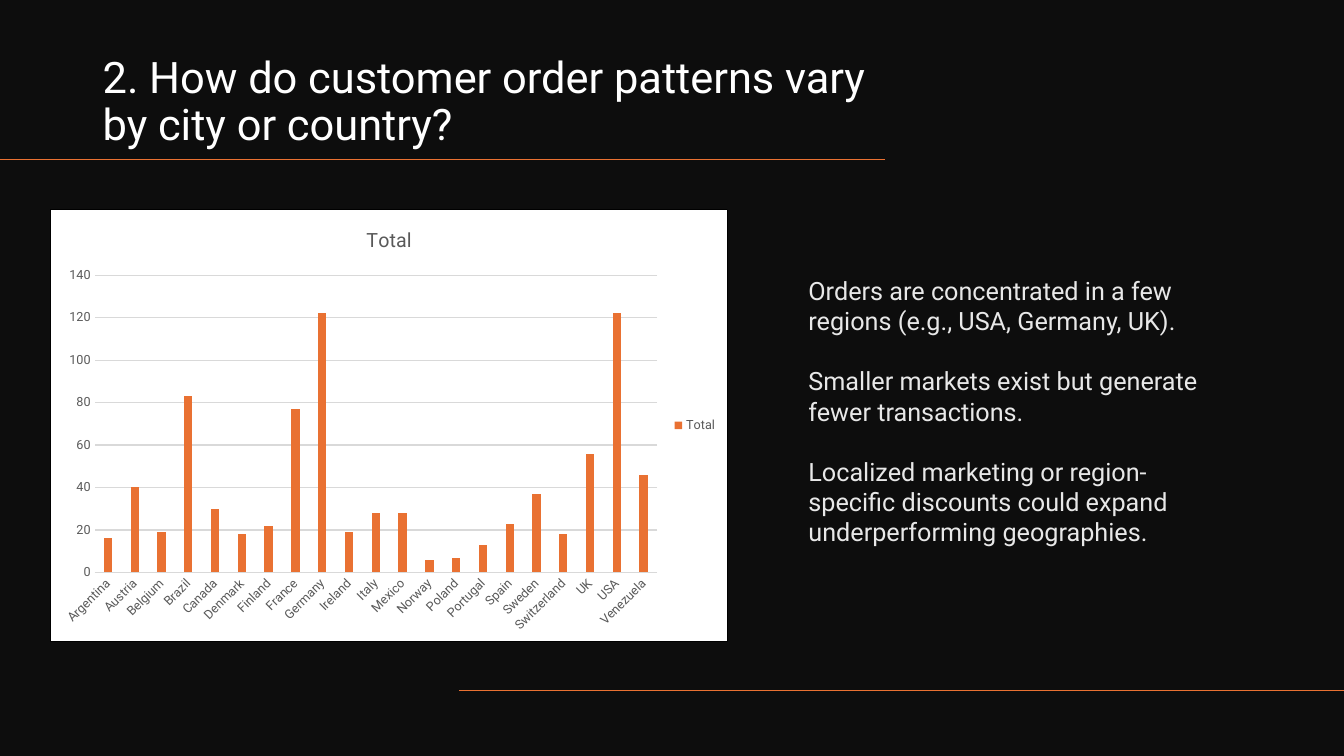
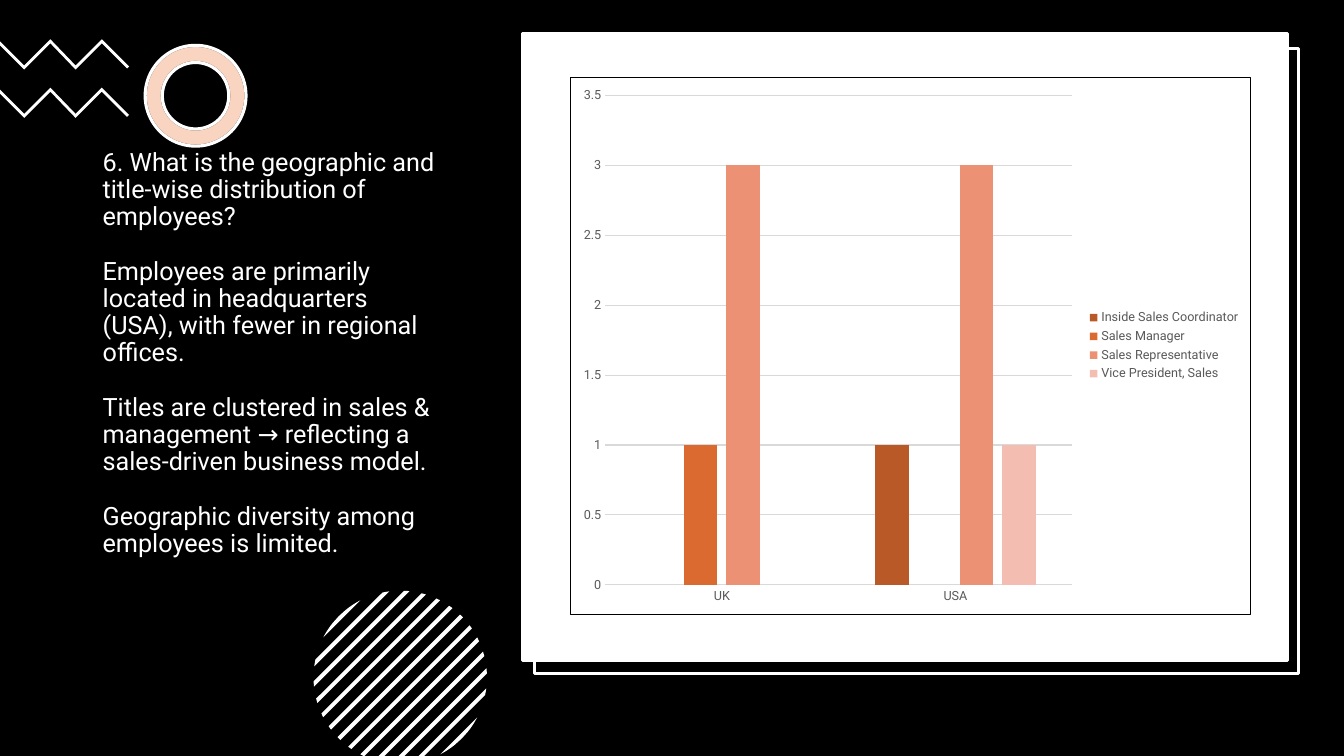
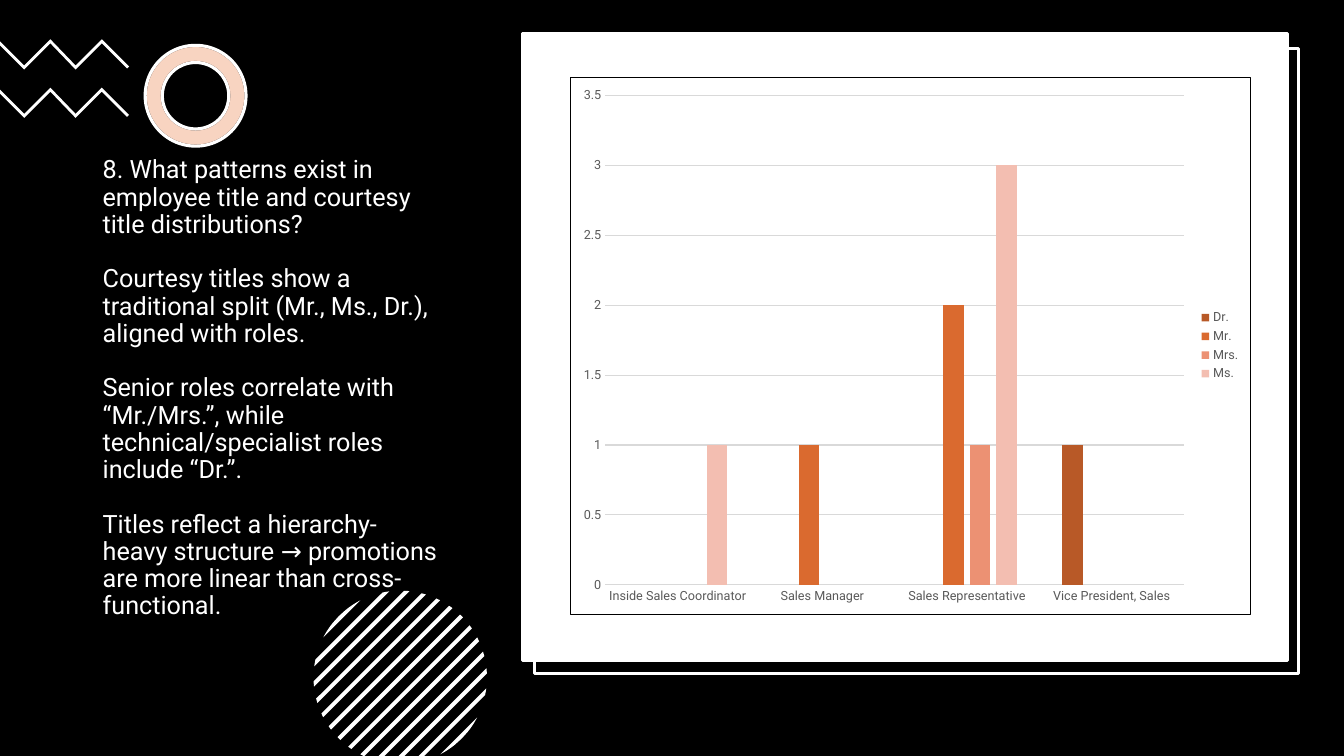
from dataclasses import dataclass
from math import sqrt
from typing import Any, Optional

from lxml import etree
from pptx import Presentation
from pptx.chart import data as chart_data
from pptx.dml.color import RGBColor
from pptx.enum import chart as charts, shapes, text
from pptx.oxml import ns, parse_xml
from pptx.util import Pt

# Shared scale, colours and formats
PX = 9144  # 100 px to the inch
SLIDE_W, SLIDE_H = 1333, 750
COLOURS = {
    "black": "000000", "night": "0D0D0D", "white": "FFFFFF", "pale": "E8E8E8",
    "orange": "E97132", "grey": "595959", "grid": "D9D9D9",
    "rust": "B85927", "amber": "DA6A2F", "coral": "EC9173", "blush": "F3BEB1",
}
TITLE = {"size": Pt(31), "name": "Roboto"}
BODY = {"size": Pt(18), "name": "Roboto"}
CHART_TITLE = {"size": Pt(14), "name": "Roboto", "bold": False}
CHART_TEXT = {"size": Pt(10), "name": "Roboto"}
CHART_LABEL = {"size": Pt(9), "name": "Roboto"}
Point = tuple[float, float]


@dataclass(frozen=True)
class Box:
    left: int
    top: int
    width: int
    height: int

    def emu(self) -> tuple[int, int, int, int]:
        return px(self.left), px(self.top), px(self.width), px(self.height)


@dataclass(frozen=True)
class Series:
    name: str
    values: tuple[Optional[int], ...]
    colour: str


@dataclass(frozen=True)
class ColumnChart:
    box: Box
    categories: tuple[str, ...]
    series: tuple[Series, ...]
    top_value: float
    step: float
    title: str = ""
    label_angle: int = 0


@dataclass(frozen=True)
class EmployeeSlide:
    text_box: Box
    paragraphs: tuple[str, ...]
    chart: ColumnChart


def px(length: float) -> int:
    return round(length * PX)


def rgb(colour: str) -> RGBColor:
    return RGBColor.from_string(COLOURS[colour])


# Drawing helpers
def set_font(font: Any, values: dict[str, Any], colour: str) -> None:
    for key, value in values.items():
        setattr(font, key, value)
    font.color.rgb = rgb(colour)


def set_line(line: Any, colour: str, points: float) -> None:
    line.color.rgb = rgb(colour)
    line.width = Pt(points)


def paint(shape: Any, fill: str, outline: str = "") -> None:
    shape.shadow.inherit = False
    shape.fill.solid()
    shape.fill.fore_color.rgb = rgb(fill)
    if outline:
        set_line(shape.line, outline, 2.25)
    else:
        shape.line.fill.background()


def add_preset(slide: Any, kind: Any, box: Box, fill: str, outline: str = "") -> Any:
    shape = slide.shapes.add_shape(kind, *box.emu())
    paint(shape, fill, outline)
    return shape


def add_backdrop(slide: Any, colour: str) -> None:
    add_preset(slide, shapes.MSO_SHAPE.RECTANGLE, Box(0, 0, SLIDE_W, SLIDE_H), colour)


def add_outline(parent: Any, points: list[Point], fill: str) -> None:
    corners = [(px(x), px(y)) for x, y in points]
    builder = parent.build_freeform(*corners[0], scale=1.0)
    builder.add_line_segments(corners[1:], close=True)
    paint(builder.convert_to_shape(), fill)


def add_rule(slide: Any, start: int, end: int, y: int) -> None:
    rule = slide.shapes.add_connector(
        shapes.MSO_CONNECTOR.STRAIGHT, px(start), px(y), px(end), px(y))
    set_line(rule.line, "orange", 1)
    etree.SubElement(rule.element.spPr, ns.qn("a:effectLst"))


def add_text(slide: Any, box: Box, paragraphs: tuple[str, ...], values: dict[str, Any],
             colour: str, anchor: Any, spacing: float = 1.0, gap: float = 0) -> None:
    frame = slide.shapes.add_textbox(*box.emu()).text_frame
    frame.word_wrap = True
    frame.vertical_anchor = anchor
    for index, words in enumerate(paragraphs):
        paragraph = frame.add_paragraph() if index else frame.paragraphs[0]
        paragraph.line_spacing = spacing
        if index:
            paragraph.space_before = Pt(gap)
        run = paragraph.add_run()
        run.text = words
        set_font(run.font, values, colour)


def add_columns(slide: Any, spec: ColumnChart) -> None:
    source = chart_data.CategoryChartData()
    source.categories = spec.categories
    for item in spec.series:
        source.add_series(item.name, item.values)
    chart = slide.shapes.add_chart(
        charts.XL_CHART_TYPE.COLUMN_CLUSTERED, *spec.box.emu(), source).chart
    root = chart.element
    set_font(chart.font, CHART_TEXT, "black")

    # Title and legend
    chart.has_title = bool(spec.title)
    if spec.title:
        heading = chart.chart_title.text_frame.paragraphs[0].add_run()
        heading.text = spec.title
        set_font(heading.font, CHART_TITLE, "grey")
    chart.has_legend = True
    chart.legend.position = charts.XL_LEGEND_POSITION.RIGHT
    chart.legend.include_in_layout = False
    set_font(chart.legend.font, CHART_LABEL, "grey")

    # Axes
    categories, values = chart.category_axis, chart.value_axis
    for axis in (categories, values):
        axis.major_tick_mark = axis.minor_tick_mark = charts.XL_TICK_MARK.NONE
        set_font(axis.tick_labels.font, CHART_LABEL, "grey")
    set_line(categories.format.line, "grid", 0.75)
    if spec.label_angle:
        category_xml = next(root.iter(ns.qn("c:catAx")))
        label_body = category_xml.find(ns.qn("c:txPr")).find(ns.qn("a:bodyPr"))
        label_body.set("rot", str(spec.label_angle * 60000))
    values.format.line.fill.background()
    values.has_major_gridlines = True
    set_line(values.major_gridlines.format.line, "grid", 0.75)
    values.minimum_scale, values.maximum_scale = 0, spec.top_value
    values.major_unit = spec.step

    # Columns
    plot = chart.plots[0]
    plot.gap_width, plot.overlap, plot.vary_by_categories = 219, -27, False
    for column, item in zip(plot.series, spec.series):
        column.format.fill.solid()
        column.format.fill.fore_color.rgb = rgb(item.colour)

    # Square white chart area with a thin black border
    area = parse_xml(
        f'<c:spPr {ns.nsdecls("c", "a")}>'
        f'<a:solidFill><a:srgbClr val="{COLOURS["white"]}"/></a:solidFill>'
        f'<a:ln w="{int(Pt(0.75))}"><a:solidFill><a:srgbClr val="{COLOURS["black"]}"/>'
        '</a:solidFill></a:ln></c:spPr>')
    root.find(ns.qn("c:chart")).addnext(area)
    if root.find(ns.qn("c:roundedCorners")) is None:
        corners = parse_xml(f'<c:roundedCorners {ns.nsdecls("c")} val="0"/>')
        root.find(ns.qn("c:date1904")).addnext(corners)


# Ornaments of the employee slides
ZIGZAG = [(50, 39), (75, 65), (101, 39), (128, 66), (126, 68), (101, 43),
          (75, 69), (50, 43), (24, 69), (0, 45), (0, 41), (24, 65)]
ZIGZAG_STEP = 48
RING = Box(144, 45, 100, 100)
DISC_X, DISC_Y, DISC_RADIUS = 397, 672, 86
STRIPES, STRIPE_PITCH, STRIPE_WIDTH, ARC_STEPS = 13, 14, 4, 8


def stripe_outline(centre: float) -> list[Point]:
    """Diagonal stripe at a distance from the disc's centre, cut by disc and slide edge."""
    upper, lower = [], []
    for step in range(ARC_STEPS + 1):
        offset = centre + STRIPE_WIDTH * (step / ARC_STEPS - 0.5)
        reach = sqrt(max(DISC_RADIUS ** 2 - offset ** 2, 0))
        low_reach = min(reach, (SLIDE_H - DISC_Y) * sqrt(2) - offset)
        upper.append((DISC_X + (offset + reach) / sqrt(2),
                      DISC_Y + (offset - reach) / sqrt(2)))
        lower.append((DISC_X + (offset - low_reach) / sqrt(2),
                      DISC_Y + (offset + low_reach) / sqrt(2)))
    return upper + lower[::-1]


def add_ornaments(slide: Any) -> None:
    for row in range(2):
        add_outline(slide.shapes, [(x, y + row * ZIGZAG_STEP) for x, y in ZIGZAG], "white")
    for fill, outline in (("white", "black"), ("orange", "white")):
        ring = add_preset(slide, shapes.MSO_SHAPE.DONUT, RING, fill, outline)
        ring.adjustments[0] = 0.17
    tint = ring.element.spPr.find(ns.qn("a:solidFill"))[0]
    etree.SubElement(tint, ns.qn("a:alpha"), val="30000")


def add_striped_disc(slide: Any) -> None:
    disc = slide.shapes.add_group_shape()
    for index in range(STRIPES):
        centre = (index - STRIPES // 2) * STRIPE_PITCH
        add_outline(disc.shapes, stripe_outline(centre), "white")


# Slide builders
def build_orders(slide: Any) -> None:
    add_backdrop(slide, "night")
    add_text(slide, Box(92, 42, 786, 112),
             ("2. How do customer order patterns vary by city or country?",),
             TITLE, "white", text.MSO_ANCHOR.BOTTOM, spacing=0.9)
    add_rule(slide, 878, 0, 158)
    add_rule(slide, SLIDE_W, 455, 685)
    add_columns(slide, ORDERS_CHART)
    add_text(slide, Box(792, 268, 440, 283), ORDERS_TEXT,
             BODY, "pale", text.MSO_ANCHOR.TOP, gap=21.5)


def build_employees(slide: Any, content: EmployeeSlide) -> None:
    add_backdrop(slide, "black")
    add_ornaments(slide)
    add_text(slide, content.text_box, content.paragraphs,
             BODY, "white", text.MSO_ANCHOR.MIDDLE, spacing=0.9, gap=19.5)
    add_striped_disc(slide)
    for panel, fill in ((Box(530, 48, 758, 620), "black"), (Box(518, 33, 759, 622), "white")):
        add_preset(slide, shapes.MSO_SHAPE.RECTANGLE, panel, fill, "white")
    add_columns(slide, content.chart)


# Content
ORDERS_TEXT = (
    "Orders are concentrated in a few regions (e.g., USA, Germany, UK).",
    "Smaller markets exist but generate fewer transactions.",
    "Localized marketing or region-specific discounts could expand "
    "underperforming geographies.",
)
ORDERS_CHART = ColumnChart(
    Box(50, 207, 672, 430),
    ("Argentina", "Austria", "Belgium", "Brazil", "Canada", "Denmark", "Finland",
     "France", "Germany", "Ireland", "Italy", "Mexico", "Norway", "Poland", "Portugal",
     "Spain", "Sweden", "Switzerland", "UK", "USA", "Venezuela"),
    (Series("Total", (16, 40, 19, 83, 30, 18, 22, 77, 122, 19, 28, 28, 6, 7, 13, 23, 37,
                      18, 56, 122, 46), "orange"),),
    top_value=140, step=20, title="Total", label_angle=-45)
EMPLOYEE_CHART = Box(565, 76, 676, 534)
EMPLOYEE_SLIDES = (
    EmployeeSlide(
        Box(92, 131, 350, 440),
        ("6. What is the geographic and title-wise distribution of employees?",
         "Employees are primarily located in headquarters (USA), with fewer in "
         "regional offices.",
         "Titles are clustered in sales & management → reflecting a sales-driven "
         "business model.",
         "Geographic diversity among employees is limited."),
        ColumnChart(
            EMPLOYEE_CHART, ("UK", "USA"),
            (Series("Inside Sales Coordinator", (None, 1), "rust"),
             Series("Sales Manager", (1, None), "amber"),
             Series("Sales Representative", (3, 3), "coral"),
             Series("Vice President, Sales", (None, 1), "blush")),
            top_value=3.5, step=0.5)),
    EmployeeSlide(
        Box(92, 131, 356, 509),
        ("8. What patterns exist in employee title and courtesy title distributions?",
         "Courtesy titles show a traditional split (Mr., Ms., Dr.), aligned with roles.",
         "Senior roles correlate with “Mr./Mrs.”, while technical/specialist roles "
         "include “Dr.”.",
         "Titles reflect a hierarchy-heavy structure → promotions are more linear than "
         "cross-functional."),
        ColumnChart(
            EMPLOYEE_CHART,
            ("Inside Sales Coordinator", "Sales Manager", "Sales Representative",
             "Vice President, Sales"),
            (Series("Dr.", (None, None, None, 1), "rust"),
             Series("Mr.", (None, 1, 2, None), "amber"),
             Series("Mrs.", (None, None, 1, None), "coral"),
             Series("Ms.", (1, None, 3, None), "blush")),
            top_value=3.5, step=0.5)),
)


def main() -> None:
    deck = Presentation()
    deck.slide_width, deck.slide_height = px(SLIDE_W), px(SLIDE_H)
    blank = deck.slide_layouts[6]
    build_orders(deck.slides.add_slide(blank))
    for content in EMPLOYEE_SLIDES:
        build_employees(deck.slides.add_slide(blank), content)
    deck.save("out.pptx")


if __name__ == "__main__":
    main()
